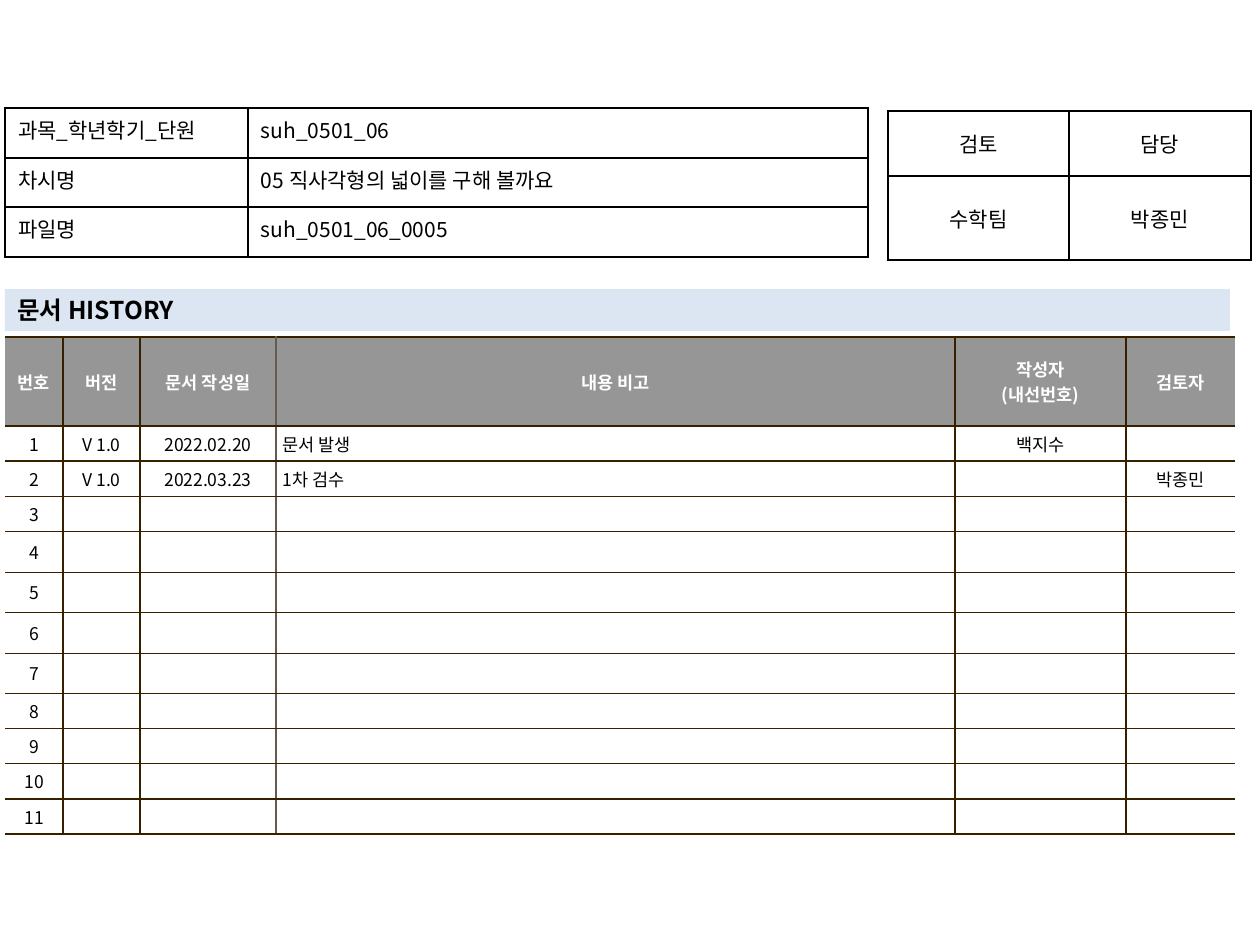
import pptx
import pptx.dml.color
import pptx.enum.shapes
import pptx.enum.text
import pptx.oxml.ns
import pptx.util
from lxml import etree

FONT = "Noto Sans CJK KR"
BLACK, WHITE, BROWN, TAUPE = "000000", "FFFFFF", "362000", "645B4C"
ALIGN = pptx.enum.text.PP_ALIGN
MIDDLE = pptx.enum.text.MSO_ANCHOR.MIDDLE
TOP = pptx.enum.text.MSO_ANCHOR.TOP
qn = pptx.oxml.ns.qn


def px(n):
    return pptx.util.Emu(n * 914400 // 126)


def rgb(code):
    return pptx.dml.color.RGBColor.from_string(code)


def style(frame, size, color=BLACK, bold=False, align=ALIGN.LEFT):
    for para in frame.paragraphs:
        para.alignment = align
        for run in para.runs:
            font = run.font
            font.name, font.size, font.bold = FONT, pptx.util.Pt(size), bold
            font.color.rgb = rgb(color)
            east = etree.SubElement(font._element, qn("a:ea"))
            east.set("typeface", FONT)
        if not para.runs:
            # An empty cell still needs a size, or its row grows
            end = etree.SubElement(para._p, qn("a:endParaRPr"))
            end.set("sz", str(size * 100))


def edge(cell, side, color):
    line = etree.SubElement(cell._tc.get_or_add_tcPr(), qn("a:ln" + side))
    line.set("w", "12700")
    if color is None:
        etree.SubElement(line, qn("a:noFill"))
    else:
        fill = etree.SubElement(line, qn("a:solidFill"))
        etree.SubElement(fill, qn("a:srgbClr")).set("val", color)


def grid(slide, left, top, cols, rows, inset):
    frame = slide.shapes.add_table(len(rows), len(cols), px(left), px(top),
                                   px(sum(cols)), px(sum(rows)))
    table = frame.table
    table.first_row = table.horz_banding = False
    for col, wide in zip(table.columns, cols):
        col.width = px(wide)
    for row, high in zip(table.rows, rows):
        row.height = px(high)
    for cell in table.iter_cells():
        cell.margin_left = cell.margin_right = px(inset[0])
        cell.margin_top = cell.margin_bottom = px(inset[1])
    return table


def put(cell, text, edges, fill, size, anchor=MIDDLE, **look):
    for side, color in zip("LRTB", edges):
        edge(cell, side, color)
    if fill:
        cell.fill.solid()
        cell.fill.fore_color.rgb = rgb(fill)
    else:
        cell.fill.background()
    cell.vertical_anchor = anchor
    cell.text_frame.text = text
    style(cell.text_frame, size, **look)


def form(slide, left, top, cols, rows, texts, anchor, aligns):
    table = grid(slide, left, top, cols, rows, (13, 6))
    for r, line in enumerate(texts):
        for c, text in enumerate(line):
            put(table.cell(r, c), text, [BLACK] * 4, None, 12, anchor,
                align=aligns[c])


def banner(slide, text):
    bar = slide.shapes.add_shape(pptx.enum.shapes.MSO_SHAPE.RECTANGLE,
                                 px(5), px(289), px(1225), px(42))
    bar.shadow.inherit = False
    bar.fill.solid()
    bar.fill.fore_color.rgb = rgb("DCE6F2")
    bar.line.fill.background()
    bar.text_frame.vertical_anchor = MIDDLE
    bar.text_frame.text = text
    style(bar.text_frame, 14, bold=True)


def history(slide):
    head = ["번호", "버전", "문서 작성일", "내용 비고", "작성자\n(내선번호)", "검토자"]
    notes = {1: ["V 1.0", "2022.02.20", "문서 발생", "백지수", ""],
             2: ["V 1.0", "2022.03.23", "1차 검수", "", "박종민"]}
    lines = [head] + [[str(n)] + notes.get(n, [""] * 5) for n in range(1, 12)]
    cols = [58, 77, 136, 679, 171, 109]
    rows = [89] + [35] * 3 + [41, 40] * 2 + [35] * 4
    # Open at both sides, with a lighter rule before the notes
    rules = [None, BROWN, BROWN, TAUPE, BROWN, BROWN, None]
    table = grid(slide, 5, 337, cols, rows, (7, 5))
    for r, line in enumerate(lines):
        for c, text in enumerate(line):
            top = r == 0
            left = c == 3 and not top
            put(table.cell(r, c), text, [rules[c], rules[c + 1], BROWN, BROWN],
                "969696" if top else WHITE, 10,
                color=WHITE if top else BLACK, bold=top,
                align=ALIGN.LEFT if left else ALIGN.CENTER)


def main():
    deck = pptx.Presentation()
    deck.slide_width, deck.slide_height = px(1260), px(945)
    slide = deck.slides.add_slide(deck.slide_layouts[6])

    # Revision history
    history(slide)

    # Sign-off box
    form(slide, 888, 111, [181, 182], [65, 84],
         [["검토", "담당"], ["수학팀", "박종민"]],
         MIDDLE, [ALIGN.CENTER] * 2)

    # Section heading
    banner(slide, "문서 HISTORY")

    # Document details
    form(slide, 5, 108, [243, 620], [50, 49, 50],
         [["과목_학년학기_단원", "suh_0501_06"],
          ["차시명", "05 직사각형의 넓이를 구해 볼까요"],
          ["파일명", "suh_0501_06_0005"]],
         TOP, [ALIGN.JUSTIFY, ALIGN.LEFT])

    deck.save("out.pptx")


if __name__ == "__main__":
    main()
